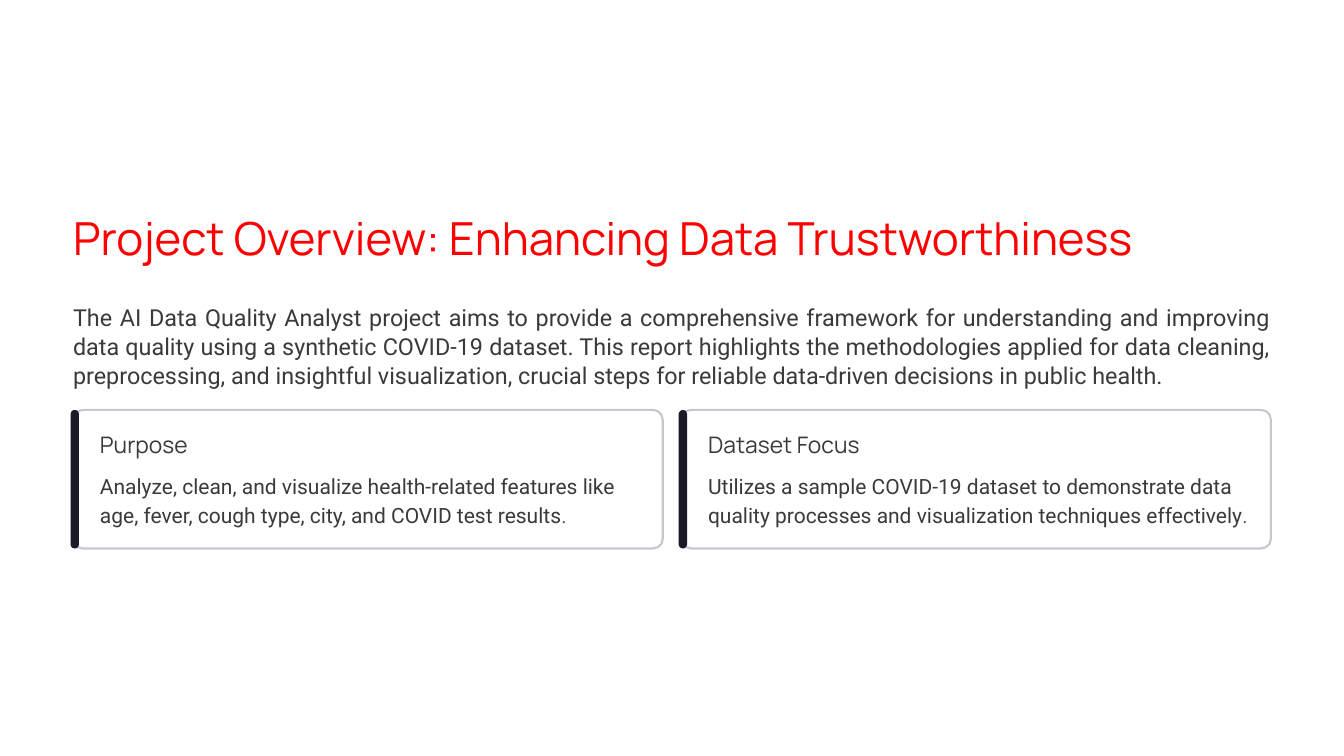
from pptx import Presentation
from pptx.dml.color import RGBColor
from pptx.enum.shapes import MSO_SHAPE
from pptx.enum.text import PP_ALIGN
from pptx.util import Inches, Pt

ROUNDED = MSO_SHAPE.ROUNDED_RECTANGLE
LEFT, JUSTIFY = PP_ALIGN.LEFT, PP_ALIGN.JUSTIFY
HEADING, BODY = "Manrope", "Roboto"
COLORS = {"title": "FF0000", "text": "3C3939", "border": "C7C7D0", "accent": "1B1B27"}

MARGIN, CONTENT_WIDTH = 0.87, 14.26
CARD_TOP, CARD_STEP = 4.88, 7.24
CARD_WIDTH, CARD_HEIGHT = 7.02, 1.65

TITLE = "Project Overview: Enhancing Data Trustworthiness"
INTRO = (
    "The AI Data Quality Analyst project aims to provide a comprehensive framework for "
    "understanding and improving data quality using a synthetic COVID-19 dataset. This report "
    "highlights the methodologies applied for data cleaning, preprocessing, and insightful "
    "visualization, crucial steps for reliable data-driven decisions in public health."
)
CARDS = [
    ("Purpose",
     "Analyze, clean, and visualize health-related features like age, fever, cough type, "
     "city, and COVID test results"),
    ("Dataset Focus",
     "Utilizes a sample COVID-19 dataset to demonstrate data quality processes and "
     "visualization techniques effectively"),
]


def rgb(name):
    """Return the palette colour with this name."""
    return RGBColor.from_string(COLORS[name])


def format_run(r, font, size, color):
    """Set the font, size and colour of a run."""
    r.font.name = font
    r.font.size = Pt(size)
    r.font.color.rgb = rgb(color)


def add_text(s, box, text, font, size, spacing, color="text", align=LEFT):
    """Add a wrapping text box without insets and return its paragraph."""
    tf = s.shapes.add_textbox(*map(Inches, box)).text_frame
    tf.margin_left = tf.margin_top = tf.margin_right = tf.margin_bottom = 0
    tf.word_wrap = True
    p = tf.paragraphs[0]
    p.text = text
    p.alignment = align
    p.line_spacing = Pt(spacing)
    format_run(p.runs[0], font, size, color)
    return p


def add_panel(s, box, radius, fill=None, line=None):
    """Add a rounded rectangle with an optional fill and outline."""
    sp = s.shapes.add_shape(ROUNDED, *map(Inches, box))
    sp.shadow.inherit = False
    sp.adjustments[0] = radius
    if fill:
        sp.fill.solid()
        sp.fill.fore_color.rgb = rgb(fill)
    else:
        sp.fill.background()
    if line:
        sp.line.color.rgb = rgb(line)
        sp.line.width = Pt(1.8)
    else:
        sp.line.fill.background()


def add_card(s, left, heading, body):
    """Add an outlined card with an accent bar, a heading and a sentence."""
    add_panel(s, (left, CARD_TOP, CARD_WIDTH, CARD_HEIGHT), 0.07, line="border")
    add_panel(s, (left - 0.03, CARD_TOP, 0.1, CARD_HEIGHT), 0.5, fill="accent")
    text_left = left + 0.32
    add_text(s, (text_left, 5.12, 2.71, 0.34), heading, HEADING, 19.5, 24)
    p = add_text(s, (text_left, 5.59, 6.46, 0.69), body, BODY, 18, 25)
    r = p.add_run()
    r.text = "."
    format_run(r, BODY, 15.5, "text")


def main():
    """Build the project overview slide."""
    prs = Presentation()
    prs.slide_width, prs.slide_height = Inches(16), Inches(9)
    s = prs.slides.add_slide(prs.slide_layouts[6])
    add_text(s, (MARGIN, 2.48, CONTENT_WIDTH, 0.68), TITLE, HEADING, 39, 48.5, "title")
    add_text(s, (MARGIN, 3.59, CONTENT_WIDTH, 1.04), INTRO, BODY, 20, 25, align=JUSTIFY)
    for i, (heading, body) in enumerate(CARDS):
        add_card(s, MARGIN + i * CARD_STEP, heading, body)
    prs.save("out.pptx")


if __name__ == "__main__":
    main()
